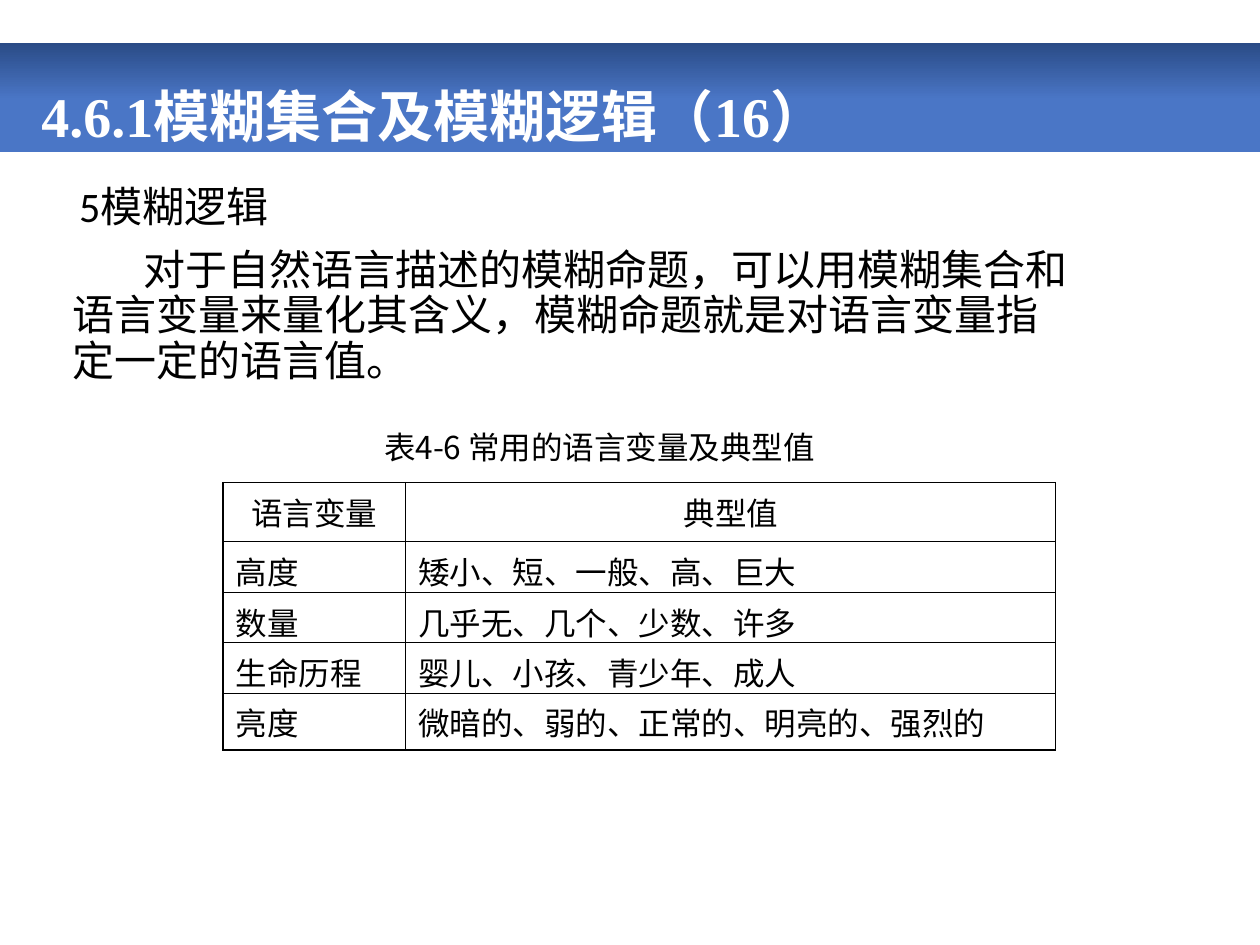
import pptx
import pptx.dml.color
import pptx.enum.shapes
import pptx.enum.text
import pptx.oxml
import pptx.oxml.ns
import pptx.util
from pptx.util import Inches

COLORS = {"black": "000000", "white": "FFFFFF", "blue": "4A76C6", "navy": "2A4B86"}
CJK = "Noto Sans CJK SC"


def rgb(name):
    return pptx.dml.color.RGBColor.from_string(COLORS[name])


def add_run(p, text, size, font, color="black", bold=False):
    r = p.add_run()
    r.text = text
    r.font.size = pptx.util.Pt(size)
    r.font.name = font
    r.font.bold = bold
    r.font.color.rgb = rgb(color)
    ea = pptx.oxml.parse_xml(
        f'<a:ea {pptx.oxml.ns.nsdecls("a")} typeface="{CJK}"/>')
    r.font._element.find(pptx.oxml.ns.qn("a:latin")).addnext(ea)


prs = pptx.Presentation()
prs.slide_width, prs.slide_height = Inches(10), Inches(7.5)
s = prs.slides.add_slide(prs.slide_layouts[6])

# Title band
sp = s.shapes.add_shape(pptx.enum.shapes.MSO_SHAPE.RECTANGLE,
                        Inches(0), Inches(0.34), Inches(10), Inches(0.87))
sp.shadow.inherit = False
sp.line.fill.background()
sp.fill.gradient()
sp.fill.gradient_angle = 90
for stop, (pos, color) in zip(sp.fill.gradient_stops, [(0.48, "blue"), (1, "navy")]):
    stop.position = pos
    stop.color.rgb = rgb(color)

# Title
tf = s.shapes.add_textbox(Inches(0.23), Inches(0.47), Inches(9.35), Inches(0.77)).text_frame
tf.word_wrap = True
tf.vertical_anchor = pptx.enum.text.MSO_ANCHOR.BOTTOM
p = tf.paragraphs[0]
p.line_spacing = 0.9
add_run(p, "4.6.1模糊集合及模糊逻辑（16）", 32, "Times New Roman", "white", True)

# Body text
tf = s.shapes.add_textbox(Inches(0.23), Inches(1.43), Inches(8.39), Inches(5.33)).text_frame
tf.word_wrap = True
body = [
    ("5模糊逻辑", 0.05),
    ("对于自然语言描述的模糊命题，可以用模糊集合和语言变量来量化其含义，"
     "模糊命题就是对语言变量指定一定的语言值。", 0.56),
]
for i, (text, indent) in enumerate(body):
    p = tf.add_paragraph() if i else tf.paragraphs[0]
    p.line_spacing = 0.9
    p.space_before = pptx.util.Pt(10 if i else 0)
    pPr = p._p.get_or_add_pPr()
    pPr.set("marL", str(Inches(0.25)))
    pPr.set("indent", str(Inches(indent)))
    add_run(p, text, 24, "Calibri")

# Table caption
tf = s.shapes.add_textbox(Inches(2.95), Inches(3.35), Inches(4.1), Inches(0.4)).text_frame
tf.word_wrap = True
tf.vertical_anchor = pptx.enum.text.MSO_ANCHOR.MIDDLE
add_run(tf.paragraphs[0], "表4-6 常用的语言变量及典型值", 18, CJK)

# Table of linguistic variables
rows = [
    ("语言变量", "典型值"),
    ("高度", "矮小、短、一般、高、巨大"),
    ("数量", "几乎无、几个、少数、许多"),
    ("生命历程", "婴儿、小孩、青少年、成人"),
    ("亮度", "微暗的、弱的、正常的、明亮的、强烈的"),
]
widths = [1.45, 5.16]
heights = [0.47, 0.4, 0.4, 0.4, 0.45]
table = s.shapes.add_table(len(rows), len(widths), Inches(1.77), Inches(3.83),
                           Inches(sum(widths)), Inches(sum(heights))).table
table.first_row = table.horz_banding = False
for col, width in zip(table.columns, widths):
    col.width = Inches(width)
last = len(rows) - 1
for i, row in enumerate(rows):
    table.rows[i].height = Inches(heights[i])
    for j, text in enumerate(row):
        cell = table.cell(i, j)
        cell.fill.background()
        p = cell.text_frame.paragraphs[0]
        if i == 0:
            p.alignment = pptx.enum.text.PP_ALIGN.CENTER
        add_run(p, text, 18, "Times New Roman")

        # Heavier rules around the header and below the last row
        top = 1 if i <= 1 else 0.75
        bottom = 1 if i in (0, last) else 0.75
        sides = [("L", 0.75), ("R", 0.75), ("T", top), ("B", bottom)]
        for k, (side, width) in enumerate(sides):
            ln = pptx.oxml.parse_xml(
                f'<a:ln{side} {pptx.oxml.ns.nsdecls("a")} w="{pptx.util.Pt(width)}">'
                f'<a:solidFill><a:srgbClr val="{COLORS["black"]}"/></a:solidFill>'
                f'</a:ln{side}>')
            cell._tc.get_or_add_tcPr().insert(k, ln)

prs.save("out.pptx")
